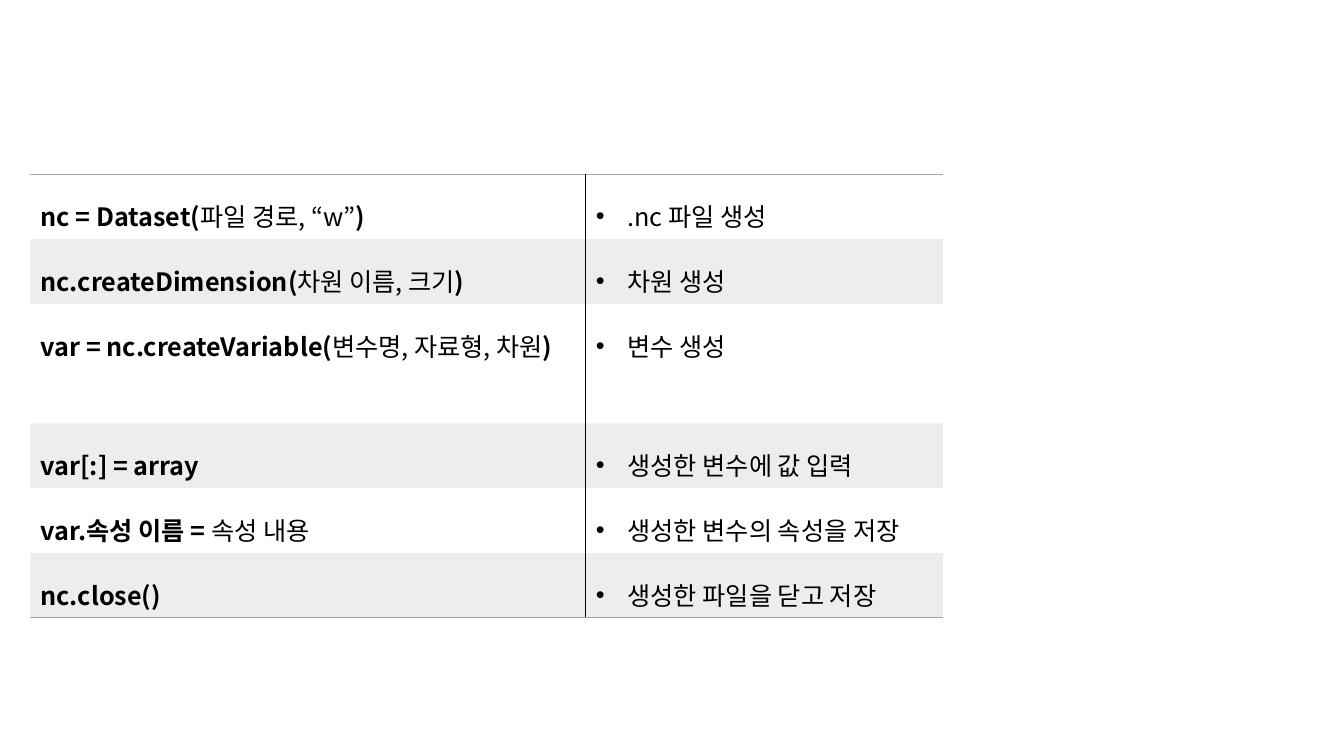
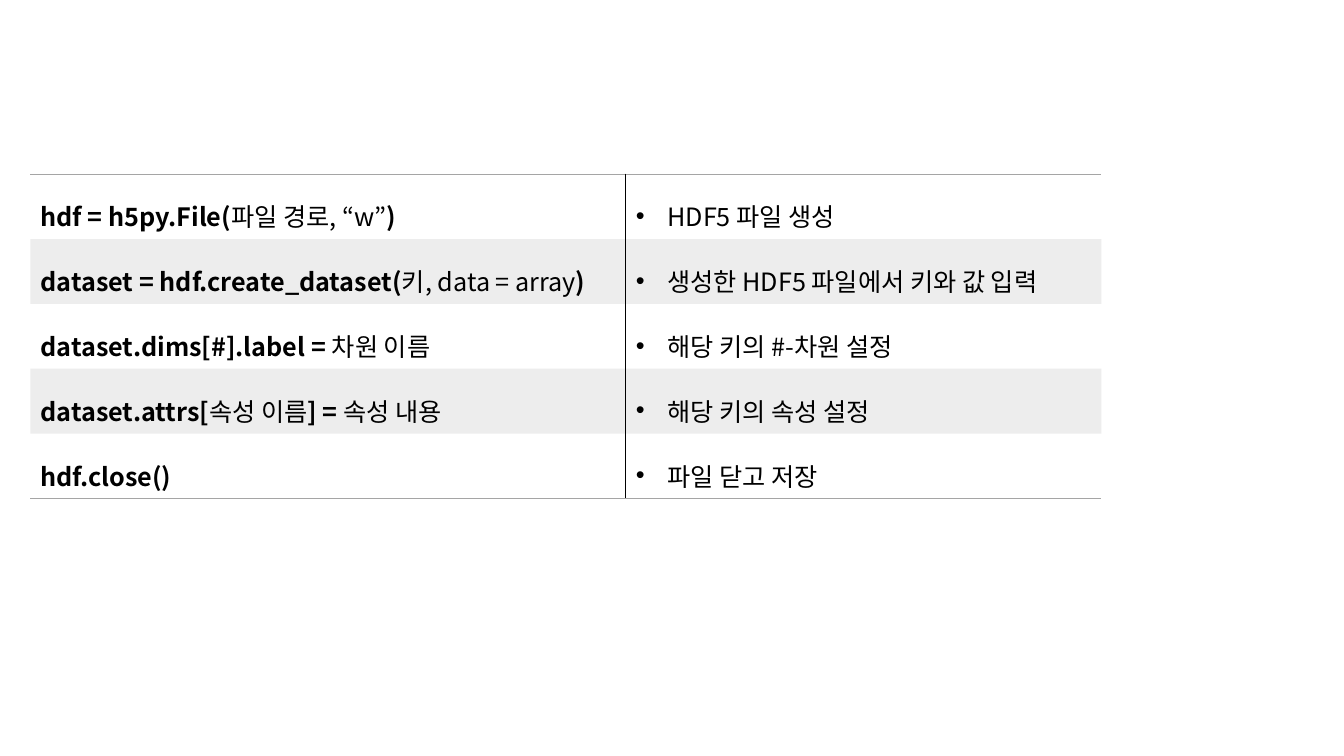
"""Build two slides with tables of NetCDF and HDF5 file writing commands."""
from dataclasses import dataclass
from typing import NamedTuple

from lxml import etree
from pptx import Presentation
from pptx.dml.color import RGBColor
from pptx.oxml.ns import qn
from pptx.util import Pt

PX = 9525
SLIDE_WIDTH, SLIDE_HEIGHT = 1280, 720
TABLE_LEFT, TABLE_TOP = 29, 166
ROW_HEIGHT = 39
BULLET_INDENT = 30
BORDER_WIDTH = 1
BAND_ALPHA = 20
FONT = "Noto Sans CJK KR"
FONT_SIZE = 18
LINE_SPACING = 1.5
PLAIN_TABLE_STYLE = "{2D5ABB26-0587-4C30-8999-92F81FD0307C}"
COLORS = {"text": "000000", "divider": "000000", "rule": "A5A5A5", "band": "A5A5A5"}


class Segment(NamedTuple):
    text: str
    bold: bool = False


@dataclass(frozen=True)
class Command:
    code: tuple[Segment, ...]
    description: str


@dataclass(frozen=True)
class CommandTable:
    column_widths: tuple[int, int]
    commands: tuple[Command, ...]


def command(description: str, *texts: str) -> Command:
    code = tuple(Segment(text, index % 2 == 0) for index, text in enumerate(texts))
    return Command(code, description)


TABLES = (
    CommandTable((529, 340), (
        command(".nc 파일 생성", "nc = Dataset(", "파일 경로, “w”", ")"),
        command("차원 생성", "nc.createDimension(", "차원 이름, 크기", ")"),
        command("변수 생성", "var = nc.createVariable(", "변수명, 자료형, 차원", ")"),
        command("생성한 변수에 값 입력", "var[:] = array"),
        command("생성한 변수의 속성을 저장", "var.속성 이름 = ", "속성 내용"),
        command("생성한 파일을 닫고 저장", "nc.close()"),
    )),
    CommandTable((567, 453), (
        command("HDF5 파일 생성", "hdf = h5py.File(", "파일 경로, “w”", ")"),
        command("생성한 HDF5 파일에서 키와 값 입력",
                "dataset = hdf.create_dataset(", "키, data = array", ")"),
        command("해당 키의 #-차원 설정", "dataset.dims[#].label = ", "차원 이름"),
        command("해당 키의 속성 설정", "dataset.attrs[", "속성 이름", "] = ", "속성 내용"),
        command("파일 닫고 저장", "hdf.close()"),
    )),
)


def add_border(cell, side: str, color: str) -> None:
    properties = cell._tc.get_or_add_tcPr()
    line = etree.SubElement(properties, qn(f"a:ln{side}"), w=str(Pt(BORDER_WIDTH)))
    fill = etree.SubElement(line, qn("a:solidFill"))
    etree.SubElement(fill, qn("a:srgbClr"), val=COLORS[color])


def fill_band(cell) -> None:
    cell.fill.solid()
    cell.fill.fore_color.rgb = RGBColor.from_string(COLORS["band"])
    color = cell._tc.tcPr.find(f"{qn('a:solidFill')}/{qn('a:srgbClr')}")
    etree.SubElement(color, qn("a:alpha"), val=str(BAND_ALPHA * 1000))


def add_bullet(paragraph) -> None:
    properties = paragraph._p.get_or_add_pPr()
    properties.set("marL", str(BULLET_INDENT * PX))
    properties.set("indent", str(-BULLET_INDENT * PX))
    etree.SubElement(properties, qn("a:buFont"), typeface="Arial")
    etree.SubElement(properties, qn("a:buChar"), char="•")


def write_segments(paragraph, segments: tuple[Segment, ...]) -> None:
    paragraph.line_spacing = LINE_SPACING
    for segment in segments:
        run = paragraph.add_run()
        run.text = segment.text
        run.font.size = Pt(FONT_SIZE)
        run.font.bold = segment.bold
        run.font.color.rgb = RGBColor.from_string(COLORS["text"])
        run.font.name = FONT
        etree.SubElement(run._r.get_or_add_rPr(), qn("a:ea"), typeface=FONT)


def style_cell(cell, divider_side: str, row: int, last_row: int) -> None:
    add_border(cell, divider_side, "divider")
    if row == 0:
        add_border(cell, "T", "rule")
    if row == last_row:
        add_border(cell, "B", "rule")
    if row % 2:
        fill_band(cell)
    else:
        cell.fill.background()


def add_command_table(slide, content: CommandTable) -> None:
    row_count = len(content.commands)
    frame = slide.shapes.add_table(
        row_count, len(content.column_widths), TABLE_LEFT * PX, TABLE_TOP * PX,
        sum(content.column_widths) * PX, row_count * ROW_HEIGHT * PX)
    frame.element.find(f".//{qn('a:tableStyleId')}").text = PLAIN_TABLE_STYLE
    table = frame.table
    table.first_row = False
    table.horz_banding = False
    for column, width in zip(table.columns, content.column_widths):
        column.width = width * PX
    for row, entry in enumerate(content.commands):
        code_cell, description_cell = table.cell(row, 0), table.cell(row, 1)
        style_cell(code_cell, "R", row, row_count - 1)
        style_cell(description_cell, "L", row, row_count - 1)
        write_segments(code_cell.text_frame.paragraphs[0], entry.code)
        paragraph = description_cell.text_frame.paragraphs[0]
        write_segments(paragraph, (Segment(entry.description),))
        add_bullet(paragraph)


def main() -> None:
    presentation = Presentation()
    presentation.slide_width = SLIDE_WIDTH * PX
    presentation.slide_height = SLIDE_HEIGHT * PX
    blank_layout = presentation.slide_layouts[6]
    for content in TABLES:
        add_command_table(presentation.slides.add_slide(blank_layout), content)
    presentation.save("out.pptx")


if __name__ == "__main__":
    main()
